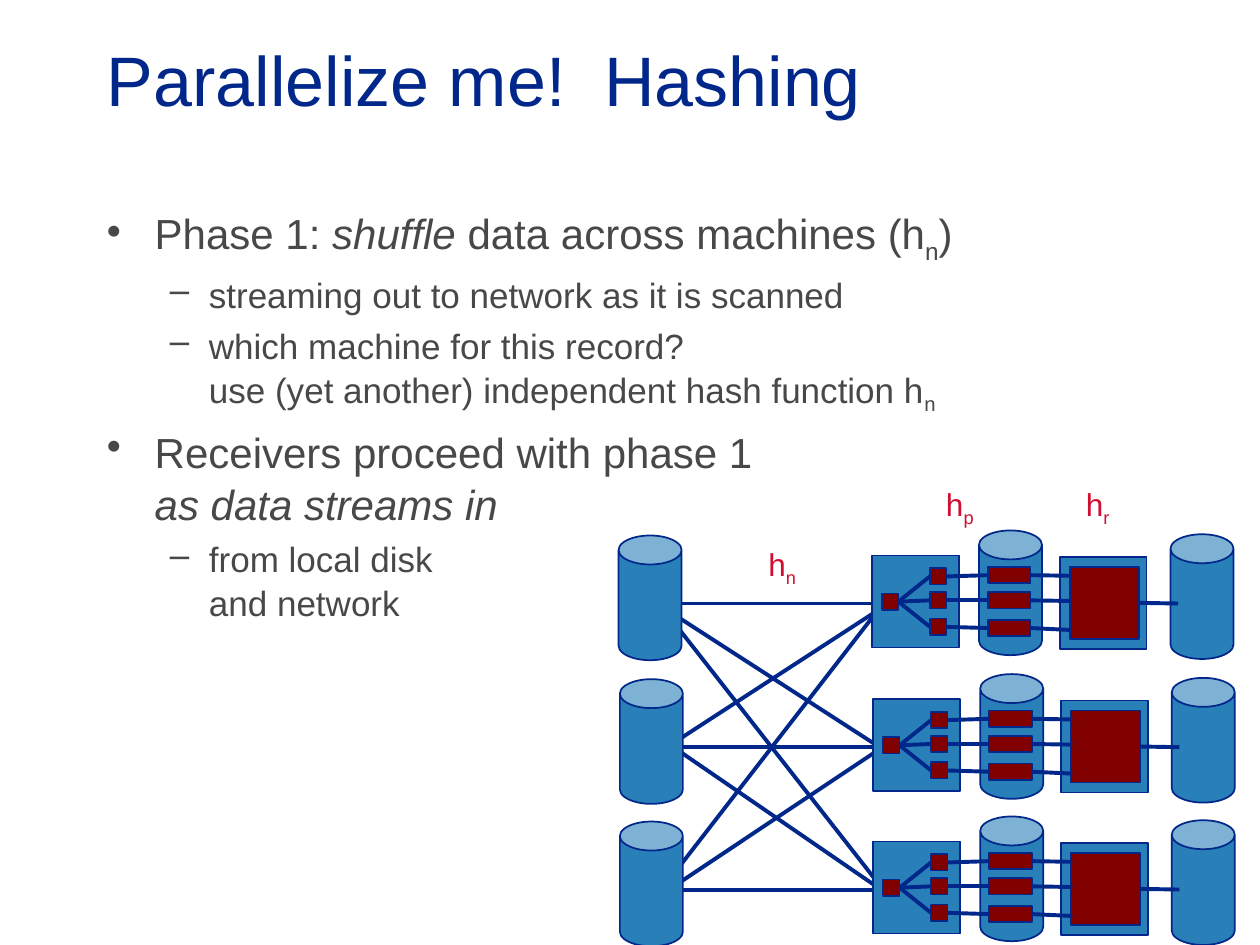
from lxml.etree import SubElement
from pptx import Presentation
from pptx.dml.color import RGBColor
from pptx.enum.shapes import MSO_CONNECTOR, MSO_SHAPE
from pptx.enum.text import MSO_ANCHOR
from pptx.oxml.ns import qn
from pptx.util import Emu, Pt

PX = 9144  # 100 px to the inch
NAVY, BLUE, MAROON, GREY, RED = "002789", "2980B9", "800000", "484848", "CF0E30"
LEFT, RIGHT = 1, 3
SUB, ITALIC, BREAK = "sub", "italic", "break"


def px(*lengths):
    return [Emu(length * PX) for length in lengths]


def color(hex_value):
    return RGBColor.from_string(hex_value)


def add_block(shapes, kind, box, fill):
    block = shapes.add_shape(kind, *px(*box))
    block.shadow.inherit = False
    block.fill.solid()
    block.fill.fore_color.rgb = color(fill)
    block.line.color.rgb = color(NAVY)
    block.line.width = Pt(1)
    return block


def add_rect(shapes, box, fill):
    return add_block(shapes, MSO_SHAPE.RECTANGLE, box, fill)


def add_disk(shapes, left, top):
    disk = add_block(shapes, MSO_SHAPE.CAN, (left, top, 50, 99), BLUE)
    disk.adjustments[0] = 0.46


def add_link(shapes, start, end, source=None, target=None):
    """Draw a line; source joins by its right side, target by its left."""
    link = shapes.add_connector(MSO_CONNECTOR.STRAIGHT, *px(*start, *end))
    link.line.color.rgb = color(NAVY)
    link.line.width = Pt(2.25)
    SubElement(link._element.spPr, qn("a:effectLst"))
    if source is not None:
        link.begin_connect(source, RIGHT)
    if target is not None:
        link.end_connect(target, LEFT)


def add_text(shapes, box, wrap=True, anchor=MSO_ANCHOR.TOP):
    frame = shapes.add_textbox(*px(*box)).text_frame
    frame.word_wrap = wrap
    frame.vertical_anchor = anchor
    return frame


def fill_paragraph(paragraph, parts, size, hex_value):
    """Write (text, style) parts; a BREAK style starts a new line first."""
    paragraph.font.name = "Arial"
    paragraph.font.size = Pt(size)
    paragraph.font.color.rgb = color(hex_value)
    for text, *styles in parts:
        if BREAK in styles:
            paragraph.add_line_break()
        run = paragraph.add_run()
        run.text = text
        if ITALIC in styles:
            run.font.italic = True
        if SUB in styles:
            run._r.get_or_add_rPr().set("baseline", "-25000")


def add_title(shapes, box):
    frame = add_text(shapes, box, anchor=MSO_ANCHOR.MIDDLE)
    fill_paragraph(frame.paragraphs[0], [("Parallelize me!  Hashing",)], 40, NAVY)


def add_outline(shapes, box):
    points = [
        (0, [("Phase 1: ",), ("shuffle", ITALIC), (" data across machines (h",),
             ("n", SUB), (")",)]),
        (1, [("streaming out to network as it is scanned",)]),
        (1, [("which machine for this record? ",),
             ("use (yet another) independent hash function h", BREAK), ("n", SUB)]),
        (0, [("Receivers proceed with phase 1",),
             ("as data streams in", BREAK, ITALIC)]),
        (1, [("from local disk ",), ("and network", BREAK)]),
    ]
    levels = [("•", 38, 38, 24), ("–", 81, 31, 20)]
    frame = add_text(shapes, box)
    for index, (level, parts) in enumerate(points):
        bullet, margin, hanging, size = levels[level]
        paragraph = frame.add_paragraph() if index else frame.paragraphs[0]
        paragraph.level = level
        paragraph.line_spacing = 1.04
        if index:
            paragraph.space_before = Pt(size * 0.2)
        properties = paragraph._p.get_or_add_pPr()
        properties.set("marL", str(margin * PX))
        properties.set("indent", str(-hanging * PX))
        SubElement(properties, qn("a:buChar")).set("char", bullet)
        fill_paragraph(paragraph, parts, size, GREY)


def add_shuffle(shapes, left, top):
    """Lines from every sending machine to every receiving one."""
    routes = [
        (3, 0, 174, 0), (3, 114, 182, 114), (4, 227, 180, 227),
        (0, 1, 172, 112), (4, 5, 174, 222), (8, 113, 182, 0),
        (8, 227, 176, 115), (10, 113, 182, 231), (6, 222, 174, 5),
    ]
    for x1, y1, x2, y2 in routes:
        add_link(shapes, (left + x1, top + y1), (left + x2, top + y2))


def add_machine(shapes, left, top):
    """Disk, splitter, partitions, hash table and output disk in one row."""
    def at(x, y, *size):
        return (left + x, top + y, *size)

    add_disk(shapes, *at(0, 4))
    add_disk(shapes, *at(286, 0))
    partitions = [add_rect(shapes, at(293, y, 34, 13), MAROON) for y in (29, 49, 71)]
    add_disk(shapes, *at(438, 3))

    memory = shapes.add_group_shape().shapes
    add_rect(memory, at(350, 21, 69, 73), BLUE)
    hash_table = add_rect(memory, at(358, 29, 55, 57), MAROON)
    add_link(shapes, at(413, 58), at(444, 58), source=hash_table)

    add_rect(shapes, at(201, 20, 69, 73), BLUE)
    splitter = add_rect(shapes, at(209, 50, 13, 13), MAROON)
    buckets = [add_rect(shapes, at(247, y, 13, 13), MAROON) for y in (30, 49, 70)]
    for bucket, partition, y in zip(buckets, partitions, (36, 56, 79)):
        add_link(shapes, at(222, 56), at(247, y), splitter, bucket)
        add_link(shapes, at(260, y), at(293, y), bucket, partition)
        add_link(shapes, at(327, y), at(359, y), source=partition)


def add_hash_label(shapes, box, subscript):
    frame = add_text(shapes, box, wrap=False)
    fill_paragraph(frame.paragraphs[0], [("h",), (subscript, SUB)], 18, RED)


def main():
    deck = Presentation()
    deck.slide_width, deck.slide_height = px(1000, 750)
    shapes = deck.slides.add_slide(deck.slide_layouts[6]).shapes
    add_shuffle(shapes, 523, 479)
    add_title(shapes, (75, 0, 850, 125))
    add_outline(shapes, (75, 158, 850, 558))
    for left, top in ((491, 421), (492, 535), (492, 648)):
        add_machine(shapes, left, top)
    for left, top, subscript in ((741, 380, "p"), (852, 380, "r"), (600, 428, "n")):
        add_hash_label(shapes, (left, top, 44, 40), subscript)
    deck.save("out.pptx")


if __name__ == "__main__":
    main()
